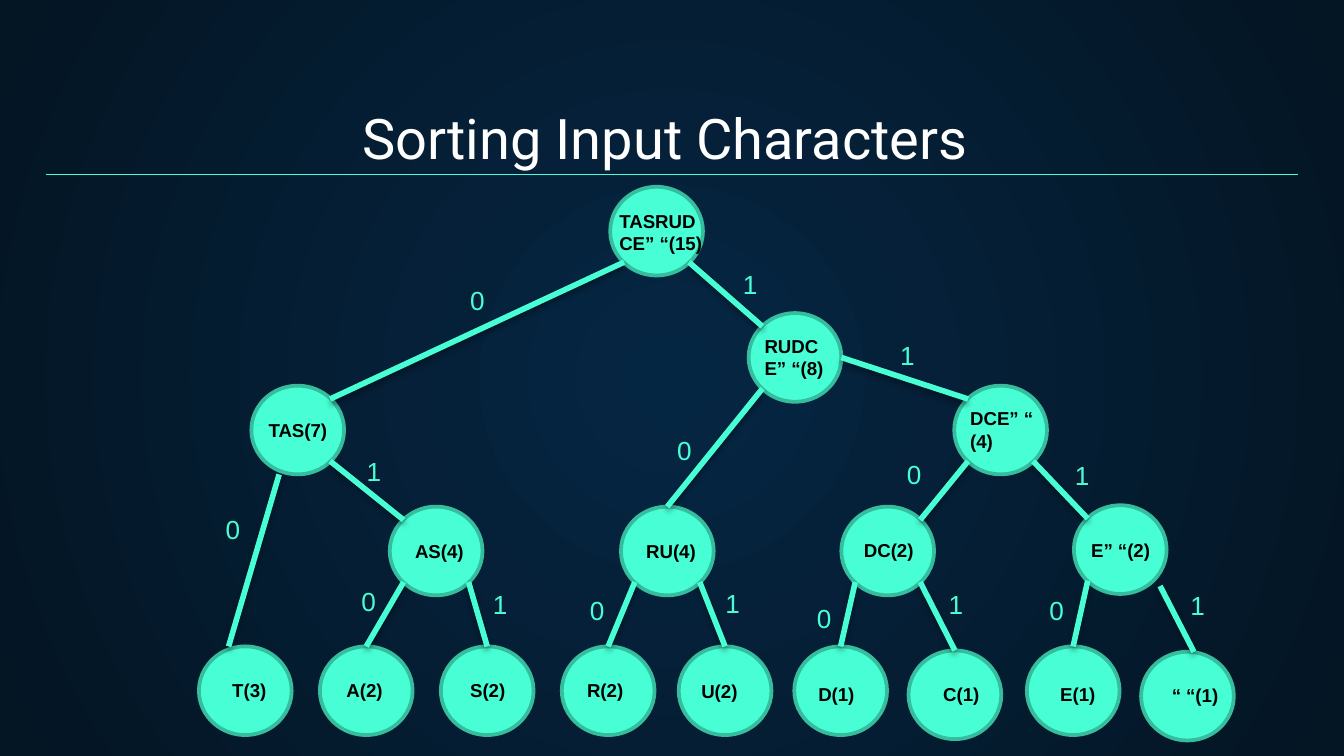
from lxml import etree
from pptx import Presentation
from pptx.dml.color import RGBColor
from pptx.enum.shapes import MSO_CONNECTOR as Connector, MSO_SHAPE as Shape
from pptx.enum.text import MSO_ANCHOR as Anchor, MSO_AUTO_SIZE as AutoSize, PP_ALIGN as Align
from pptx.oxml.ns import qn
from pptx.util import Inches, Pt

MINT = RGBColor(0x48, 0xFF, 0xD5)
TEAL = RGBColor(0x35, 0xBD, 0x9E)
NAVY = RGBColor(0x05, 0x26, 0x43)
NIGHT = RGBColor(0x04, 0x15, 0x23)
WHITE = RGBColor(0xFF, 0xFF, 0xFF)
BLACK = RGBColor(0, 0, 0)

TITLE = "Sorting Input Characters "
SLIDE_W = 10
SLIDE_H = SLIDE_W * 9 / 16
NODE_W, NODE_H = 0.69, 0.66

# Tree nodes: name -> circle left, top; label left, top, width; label lines
NODES = {
    "T": (1.48, 4.81, 1.63, 5.00, 0.54, ["T(3)"]),
    "A": (2.38, 4.81, 2.48, 5.00, 0.54, ["A(2)"]),
    "S": (3.28, 4.81, 3.40, 5.00, 0.54, ["S(2)"]),
    "R": (4.18, 4.81, 4.27, 5.00, 0.54, ["R(2)"]),
    "U": (5.05, 4.81, 5.12, 5.01, 0.54, ["U(2)"]),
    "D": (5.91, 4.81, 5.99, 5.03, 0.54, ["D(1)"]),
    "C": (6.76, 4.84, 6.92, 5.03, 0.54, ["C(1)"]),
    "E": (7.64, 4.81, 7.79, 5.03, 0.54, ["E(1)"]),
    "space": (8.49, 4.85, 8.62, 5.04, 0.69, ["“ “(1)"]),
    "E space": (7.99, 3.76, 8.02, 3.96, 0.69, ["E” “(2)"]),
    "DC": (6.26, 3.77, 6.33, 3.96, 0.64, ["DC(2)"]),
    "RU": (4.62, 3.77, 4.71, 3.97, 0.63, ["RU(4)"]),
    "AS": (2.90, 3.77, 2.99, 3.97, 0.63, ["AS(4)"]),
    "DCE": (7.10, 2.87, 7.12, 2.98, 0.69, ["DCE” “", "(4)"]),
    "RUDCE": (5.57, 2.33, 5.59, 2.44, 0.68, ["RUDCE” “(8)"]),
    "TAS": (1.87, 2.87, 1.90, 3.07, 0.68, ["TAS(7)"]),
    "root": (4.54, 1.39, 4.51, 1.51, 0.85, ["TASRUDCE” “(15)"]),
}
TWO_LINE_LABELS = {"root", "RUDCE", "DCE"}

# Points on a circle, as shares of its width and height
TOP, RIGHT = (0.5, 0), (1, 0.5)
TOP_LEFT, TOP_RIGHT = (0.15, 0.15), (0.85, 0.15)
LOW_LEFT, LOW_RIGHT = (0.15, 0.85), (0.85, 0.85)

# Branches: child, its point, parent, its point, bit, bit left, bit top
BRANCHES = [
    ("E", TOP, "E space", LOW_LEFT, "0", 7.71, 4.37),
    ("space", (0.57, 0), "E space", (0.93, 0.91), "1", 8.76, 4.34),
    ("D", TOP, "DC", LOW_LEFT, "0", 5.98, 4.43),
    ("C", TOP, "DC", LOW_RIGHT, "1", 6.96, 4.33),
    ("DC", TOP_RIGHT, "DCE", LOW_LEFT, "0", 6.65, 3.36),
    ("E space", TOP_LEFT, "DCE", LOW_RIGHT, "1", 7.90, 3.37),
    ("T", (0.32, 0), "TAS", (0.3, 1), "0", 1.58, 3.77),
    ("AS", TOP_LEFT, "TAS", LOW_RIGHT, "1", 2.63, 3.34),
    ("A", TOP, "AS", LOW_LEFT, "0", 2.59, 4.31),
    ("S", TOP, "AS", LOW_RIGHT, "1", 3.57, 4.33),
    ("R", TOP, "RU", LOW_LEFT, "0", 4.29, 4.37),
    ("U", TOP, "RU", LOW_RIGHT, "1", 5.30, 4.32),
    ("RU", TOP, "RUDCE", LOW_LEFT, "0", 4.94, 3.18),
    ("DCE", TOP_LEFT, "RUDCE", RIGHT, "1", 6.60, 2.48),
    ("TAS", TOP_RIGHT, "root", LOW_LEFT, "0", 3.40, 2.07),
    ("RUDCE", TOP_LEFT, "root", LOW_RIGHT, "1", 5.43, 1.95),
]


def style_span(span, font, size, color, bold=False):
    span.font.name = font
    span.font.size = Pt(size)
    span.font.bold = bold
    span.font.color.rgb = color


def add_label(page, left, top, width, height, lines, size, color, bold=False):
    box = page.shapes.add_textbox(Inches(left), Inches(top), Inches(width), Inches(height))
    frame = box.text_frame
    frame.word_wrap = True
    frame.auto_size = AutoSize.SHAPE_TO_FIT_TEXT
    for index, line in enumerate(lines):
        para = frame.add_paragraph() if index else frame.paragraphs[0]
        span = para.add_run()
        span.text = line
        style_span(span, "Arial", size, color, bold)


def add_line(page, start, end, weight, shadow=False):
    line = page.shapes.add_connector(Connector.STRAIGHT, *map(Inches, start + end))
    line.line.color.rgb = MINT
    line.line.width = Pt(weight)
    effects = etree.SubElement(line.element.spPr, qn("a:effectLst"))
    if shadow:
        outer = etree.SubElement(effects, qn("a:outerShdw"), blurRad="40000", dist="23000",
                                 dir="5400000", rotWithShape="0")
        black = etree.SubElement(outer, qn("a:srgbClr"), val="000000")
        etree.SubElement(black, qn("a:alpha"), val="35000")
    return line


def point_on(name, share):
    left, top = NODES[name][:2]
    return (left + share[0] * NODE_W, top + share[1] * NODE_H)


def paint_background(page):
    fill = page.background.fill
    fill.gradient()
    for stop, color in zip(fill.gradient_stops, (NAVY, NIGHT)):
        stop.color.rgb = color
    gradient = page.element.find(".//" + qn("a:gradFill"))
    gradient.remove(gradient.find(qn("a:lin")))
    circle = etree.SubElement(gradient, qn("a:path"), path="circle")
    etree.SubElement(circle, qn("a:fillToRect"), l="50000", t="50000", r="50000", b="50000")


def add_title(page):
    title = page.shapes.title
    title.left, title.top, title.width, title.height = map(Inches, (0.34, 0.71, 9.32, 0.66))
    frame = title.text_frame
    frame.vertical_anchor = Anchor.BOTTOM
    frame.auto_size = AutoSize.NONE
    frame.word_wrap = True
    frame.margin_left = frame.margin_right = frame.margin_top = frame.margin_bottom = Inches(0.1)
    para = frame.paragraphs[0]
    para.alignment = Align.CENTER
    span = para.add_run()
    span.text = TITLE
    style_span(span, "Roboto", 30, WHITE)


def main():
    deck = Presentation()
    deck.slide_width, deck.slide_height = Inches(SLIDE_W), Inches(SLIDE_H)
    page = deck.slides.add_slide(deck.slide_layouts[5])
    paint_background(page)

    # Title and the rule below it
    add_title(page)
    add_line(page, (0.34, 1.3), (9.66, 1.3), 0.75)

    # Circles
    circles = {}
    for name, (left, top, *_) in NODES.items():
        circle = page.shapes.add_shape(Shape.OVAL, Inches(left), Inches(top),
                                       Inches(NODE_W), Inches(NODE_H))
        circle.shadow.inherit = False
        circle.fill.solid()
        circle.fill.fore_color.rgb = MINT
        circle.line.color.rgb = TEAL
        circle.line.width = Pt(2)
        circles[name] = circle

    # Branches and their bits
    for child, child_point, parent, parent_point, bit, left, top in BRANCHES:
        branch = add_line(page, point_on(child, child_point),
                          point_on(parent, parent_point), 3, shadow=True)
        if child_point == TOP:
            branch.begin_connect(circles[child], 0)
        add_label(page, left, top, 0.3, 0.34, [bit], 14, MINT)

    # Node labels
    for name, (_, _, left, top, width, lines) in NODES.items():
        height = 0.44 if name in TWO_LINE_LABELS else 0.27
        add_label(page, left, top, width, height, lines, 10, BLACK, bold=True)

    deck.save("out.pptx")


if __name__ == "__main__":
    main()
